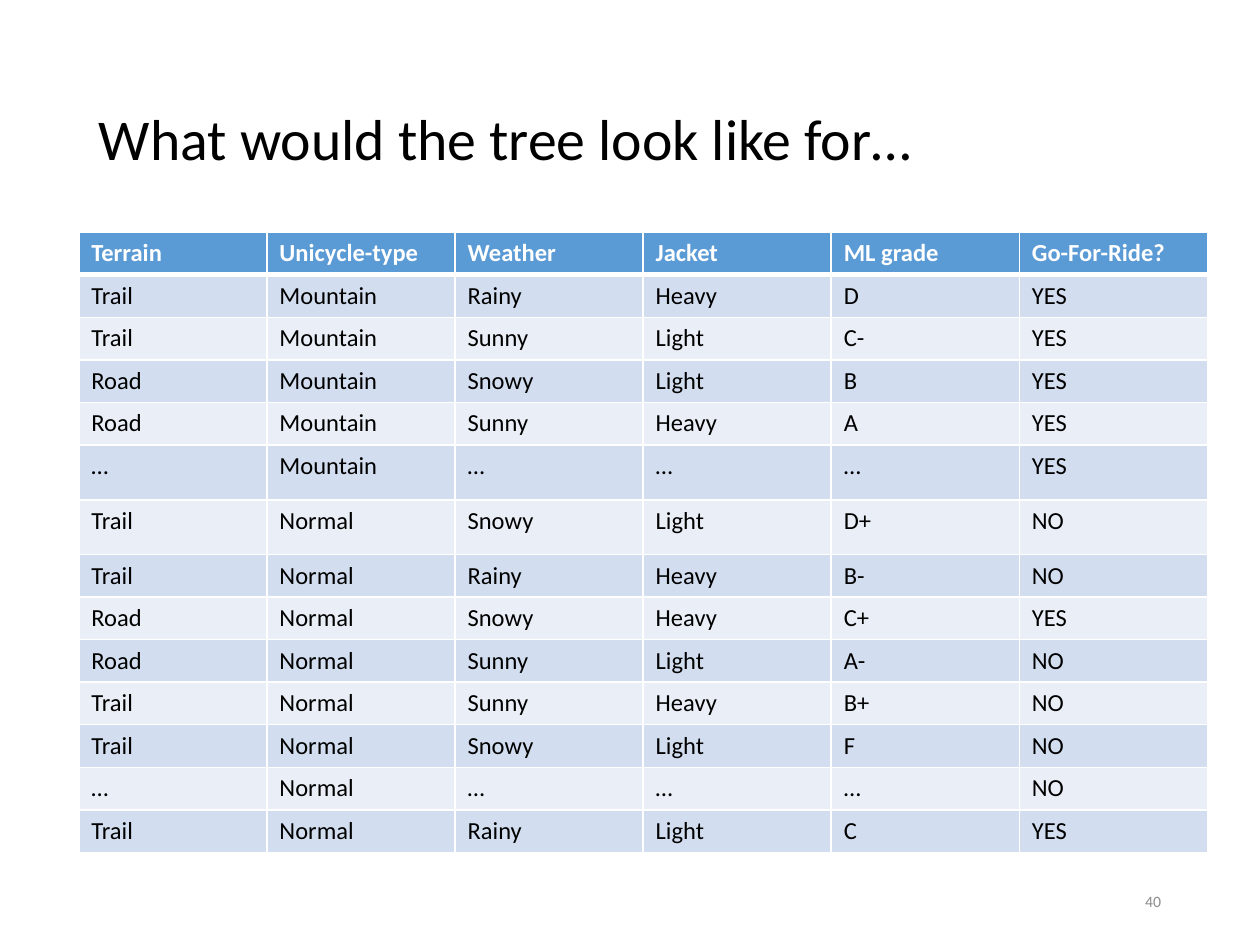
from lxml import etree
from pptx import Presentation, util as u
from pptx.dml.color import RGBColor
from pptx.enum import text
from pptx.oxml.ns import qn

COLORS = {"ink": "000000", "paper": "FFFFFF", "header": "5B9BD5",
          "odd": "D2DEEF", "even": "EAEFF7", "number": "8C8C8C"}
FONT = "Calibri"
HEADINGS = ["Terrain", "Unicycle-type", "Weather", "Jacket", "ML grade", "Go-For-Ride?"]
RIDES = """Trail Mountain Rainy Heavy D YES
Trail Mountain Sunny Light C- YES
Road Mountain Snowy Light B YES
Road Mountain Sunny Heavy A YES
… Mountain … … … YES
Trail Normal Snowy Light D+ NO
Trail Normal Rainy Heavy B- NO
Road Normal Snowy Heavy C+ YES
Road Normal Sunny Light A- NO
Trail Normal Sunny Heavy B+ NO
Trail Normal Snowy Light F NO
… Normal … … … NO
Trail Normal Rainy Light C YES"""
ROW_HEIGHT, TALL_HEIGHT, TALL_ROWS = 24.3, 31.4, (5, 6)


def rgb(name):
    """Return the named colour."""
    return RGBColor.from_string(COLORS[name])


def style(paragraph, size, color, bold=False):
    """Format every run of a paragraph."""
    for run in paragraph.runs:
        run.font.name, run.font.size, run.font.bold = FONT, u.Pt(size), bold
        run.font.color.rgb = rgb(color)


def add_line(slide, box, words, size, color, align, spacing=1.0):
    """Write one line of text, centred vertically in its box."""
    frame = slide.shapes.add_textbox(*map(u.Pt, box)).text_frame
    frame.word_wrap = True
    frame.vertical_anchor = text.MSO_ANCHOR.MIDDLE
    frame.text = words
    line = frame.paragraphs[0]
    line.alignment, line.line_spacing = align, spacing
    style(line, size, color)


def add_border(cell, side, width):
    """Draw one white edge of a cell."""
    edge = etree.SubElement(cell._tc.get_or_add_tcPr(), qn(f"a:ln{side}"), w=str(u.Pt(width)))
    fill = etree.SubElement(edge, qn("a:solidFill"))
    etree.SubElement(fill, qn("a:srgbClr"), val=COLORS["paper"])


def fill_cell(cell, words, row):
    """Write and colour one cell according to its row."""
    is_header = row == 0
    cell.text = words
    style(cell.text_frame.paragraphs[0], 14, "paper" if is_header else "ink", is_header)
    widths = {"L": 1, "R": 1, "T": 3 if row == 1 else 1, "B": 3 if is_header else 1}
    for side, width in widths.items():
        add_border(cell, side, width)
    cell.fill.solid()
    cell.fill.fore_color.rgb = rgb("header" if is_header else "odd" if row % 2 else "even")


def add_rides(slide, box):
    """Place the table of rides with equal columns."""
    records = [HEADINGS] + [ride.split() for ride in RIDES.splitlines()]
    rides = slide.shapes.add_table(len(records), len(HEADINGS), *map(u.Pt, box)).table
    for column in rides.columns:
        column.width = u.Pt(box[2] / len(HEADINGS))
    for row, record in enumerate(records):
        rides.rows[row].height = u.Pt(TALL_HEIGHT if row in TALL_ROWS else ROW_HEIGHT)
        for col, words in enumerate(record):
            fill_cell(rides.cell(row, col), words, row)


def build():
    """Build and save the slide."""
    deck = Presentation()
    deck.slide_width, deck.slide_height = u.Pt(720), u.Pt(540)
    slide = deck.slides.add_slide(deck.slide_layouts[6])
    add_line(slide, (49.5, 28.75, 621, 104.4), "What would the tree look like for…",
             33, "ink", text.PP_ALIGN.LEFT, 0.9)
    add_rides(slide, (45, 132.75, 645, 354.4))
    add_line(slide, (508.5, 500.5, 162, 28.75), "40", 9, "number", text.PP_ALIGN.RIGHT)
    deck.save("out.pptx")


build()
